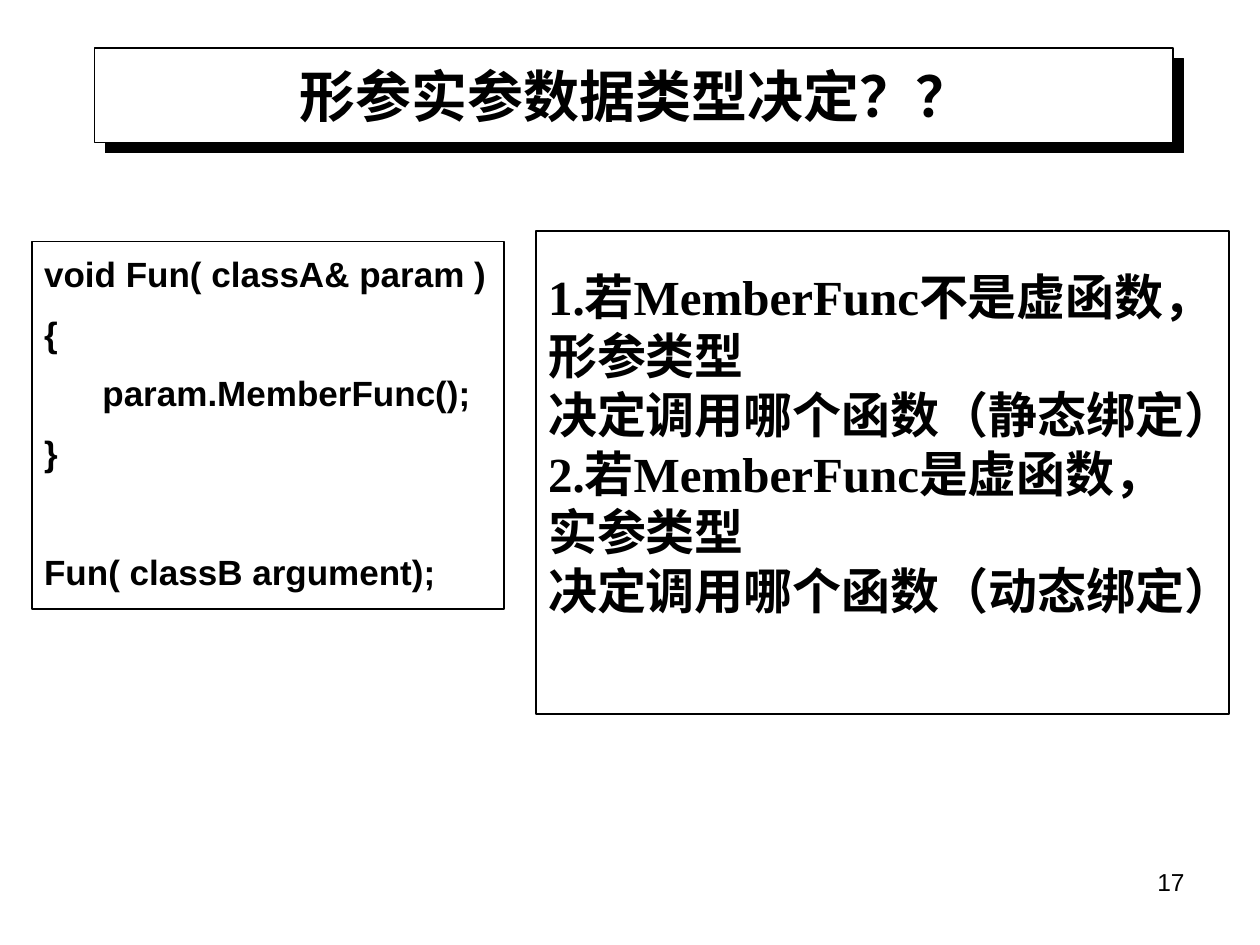
import pptx
import pptx.util
import pptx.dml.color
import pptx.enum.shapes
import pptx.enum.text
import pptx.oxml

Cm, Pt = pptx.util.Cm, pptx.util.Pt
Align = pptx.enum.text.PP_ALIGN
Anchor = pptx.enum.text.MSO_ANCHOR
ink = {"text": "000000", "paper": "FFFFFF"}

deck = pptx.Presentation()
deck.slide_width, deck.slide_height = Cm(25.4), Cm(19.05)
slide = deck.slides.add_slide(deck.slide_layouts[6])


def hue(name):
    return pptx.dml.color.RGBColor.from_string(ink[name])


def write(shape, lines, font, size, bold=True, align=Align.LEFT, wrap=True):
    frame = shape.text_frame
    frame.text = "\n".join(lines)
    frame.word_wrap = wrap
    for para in frame.paragraphs:
        para.alignment = align
        for run in para.runs:
            run.font.name, run.font.size = font, Pt(size)
            run.font.bold = bold
            run.font.color.rgb = hue("text")
    return frame


# Frames: title bar, code box, rule box
boxes = []
for left, top, wide, high, line in [
    (1.91, 0.97, 21.74, 1.9, 0.75),
    (0.64, 4.87, 9.52, 7.41, 1),
    (10.8, 4.66, 13.97, 9.73, 1),
]:
    box = slide.shapes.add_shape(
        pptx.enum.shapes.MSO_SHAPE.RECTANGLE,
        Cm(left), Cm(top), Cm(wide), Cm(high))
    box.shadow.inherit = False
    box.fill.background()
    box.line.color.rgb = hue("text")
    box.line.width = Pt(line)
    boxes.append(box)
bar, code, rules = boxes

# Title bar with a hard shadow to the lower right
bar.fill.solid()
bar.fill.fore_color.rgb = hue("paper")
space = "http://schemas.openxmlformats.org/drawingml/2006/main"
shade = pptx.oxml.parse_xml(
    f'<a:outerShdw xmlns:a="{space}" dist="{Pt(8.5)}" dir="2700000" '
    f'algn="ctr" rotWithShape="0"><a:srgbClr val="{ink["text"]}"/></a:outerShdw>')
bar._element.spPr.find(f"{{{space}}}effectLst").append(shade)

# Title
title = slide.shapes.add_textbox(Cm(2.11), Cm(1.12), Cm(21.41), Cm(1.6))
frame = write(title, ["形参实参数据类型决定？？"], "Arial", 32, align=Align.CENTER)
frame.vertical_anchor = Anchor.MIDDLE

# Code, with a wider gap before the call
frame = write(code, [
    "void Fun( classA& param )",
    "{",
    "      param.MemberFunc();",
    "}",
    "Fun( classB argument);",
], "Arial", 20, wrap=False)
frame.vertical_anchor = Anchor.MIDDLE
for para in frame.paragraphs:
    para.line_spacing = 0.9
for para in frame.paragraphs[1:]:
    para.space_before = Pt(12.5)
frame.paragraphs[-1].space_before = Pt(46.5)

# Binding rules, set a little above the middle
frame = write(rules, [
    "1.若MemberFunc不是虚函数，",
    "形参类型",
    "决定调用哪个函数（静态绑定）",
    "2.若MemberFunc是虚函数，",
    "实参类型",
    "决定调用哪个函数（动态绑定）",
], "Times New Roman", 28, wrap=False)
frame.vertical_anchor = Anchor.MIDDLE
frame.margin_bottom = Cm(1.31)

# Page number
page = slide.shapes.add_textbox(Cm(18.21), Cm(17.35), Cm(5.92), Cm(1.32))
write(page, ["17"], "Arial", 14, bold=False, align=Align.RIGHT)

deck.save("out.pptx")
